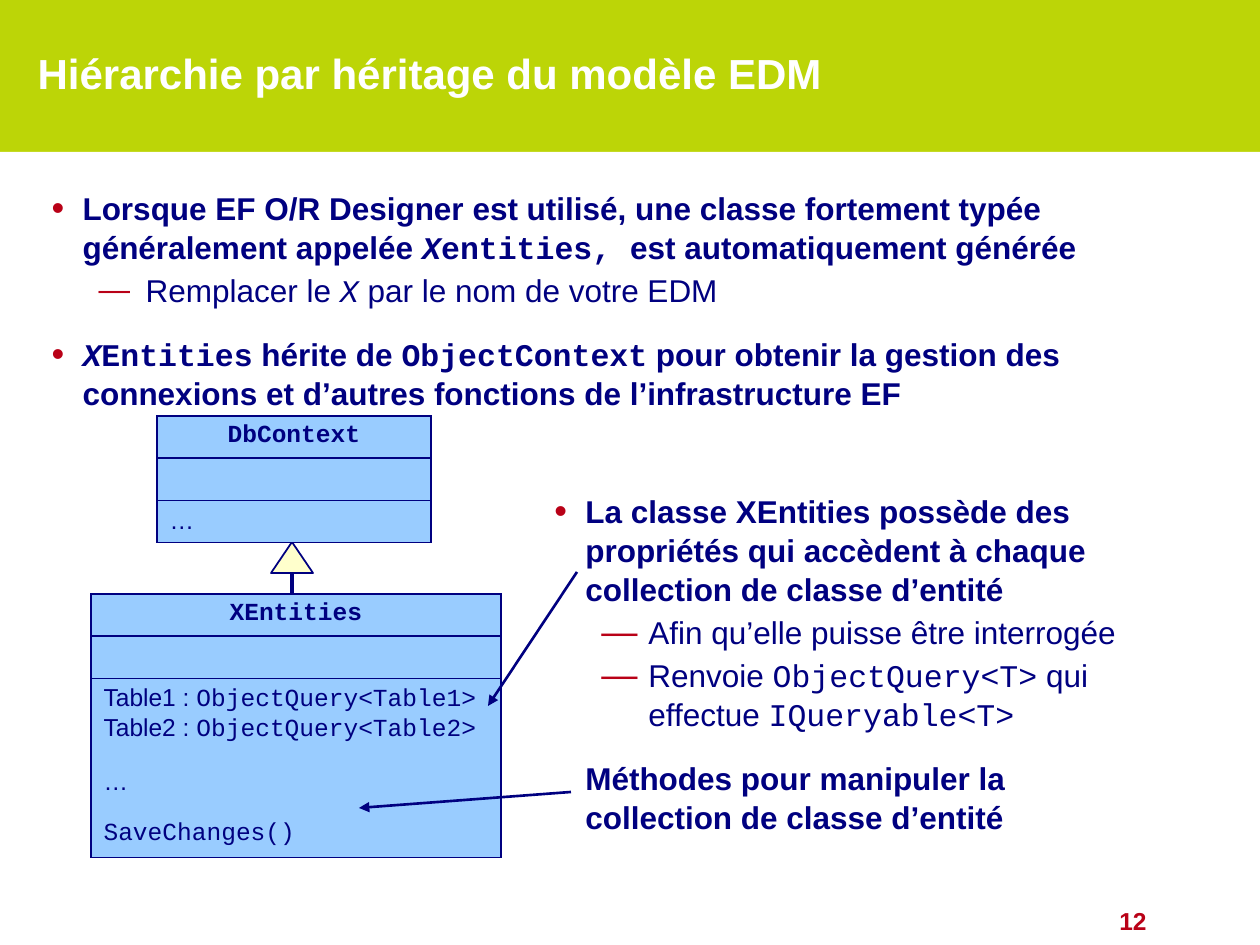
"""Build the slide on inheritance in the EDM model."""
from dataclasses import dataclass

from lxml import etree
from pptx import Presentation
from pptx import util as u
from pptx.dml.color import RGBColor
from pptx.enum import shapes, text
from pptx.oxml import ns

PIXEL = 914400 // 126
NAVY, RED, WHITE, LIME = "000080", "B90117", "FFFFFF", "BCD507"
SKY, CREAM, BLACK = "99CCFF", "FFFFCC", "000000"
SANS, MONO = "Arial", "Courier New"
CENTER, RIGHT = text.PP_ALIGN.CENTER, text.PP_ALIGN.RIGHT


@dataclass
class Span:
    text: str
    mono: bool = False
    italic: bool = False


@dataclass
class Line:
    spans: list[Span]
    level: int = 0
    bullet_size: int = 115
    bullet: bool = True


@dataclass
class ClassBox:
    name: str
    at: tuple[int, int]
    width: int
    heights: list[int]
    members: list[list[Span]]


@dataclass
class Link:
    start: tuple[int, int]
    end: tuple[int, int]
    width: float = 1.5
    arrow: bool = True


def px(*values: int) -> list[u.Emu]:
    return [u.Emu(value * PIXEL) for value in values]


def color(value: str) -> RGBColor:
    return RGBColor.from_string(value)


def add_xml(parent, tag: str, **attributes: str):
    return etree.SubElement(parent, ns.qn(tag), attributes)


def add_color(parent, value: str) -> None:
    add_xml(parent, "a:srgbClr", val=value)


def style(span, size: float, value: str, bold: bool, font: str = SANS, italic: bool = False) -> None:
    span.font.size = u.Pt(size)
    span.font.name = font
    span.font.bold = bold
    span.font.italic = italic
    span.font.color.rgb = color(value)


def write(para, spans: list[Span], size: float, bold: bool) -> None:
    for item in spans:
        span = para.add_run()
        span.text = item.text
        style(span, size, NAVY, bold, MONO if item.mono else SANS, item.italic)


def place(box, left: int, top: int, width: int, height: int) -> None:
    box.left, box.top, box.width, box.height = px(left, top, width, height)


def paragraphs(frame, count: int) -> list:
    return [frame.paragraphs[0]] + [frame.add_paragraph() for _ in range(count - 1)]


def fill_list(frame, lines: list[Line]) -> None:
    frame.word_wrap = True
    frame.auto_size = text.MSO_AUTO_SIZE.NONE
    for para, line in zip(paragraphs(frame, len(lines)), lines):
        para.level = line.level
        para.space_before = u.Pt(2 if line.level else 14)
        para.line_spacing = 1.04
        write(para, line.spans, 18, line.level == 0)
        margin, hang = px(94, 47) if line.level else px(31, 31)
        settings = para._p.get_or_add_pPr()
        settings.set("marL", str(margin))
        settings.set("indent", str(-hang if line.bullet else 0))
        if line.bullet:
            add_color(add_xml(settings, "a:buClr"), RED)
            add_xml(settings, "a:buSzPct", val=str(line.bullet_size * 1000))
            add_xml(settings, "a:buFont", typeface=SANS)
            add_xml(settings, "a:buChar", char="—" if line.level else "•")
        else:
            add_xml(settings, "a:buNone")


def draw_class(page, box: ClassBox) -> None:
    frame = page.shapes.add_table(3, 1, *px(*box.at, box.width, sum(box.heights)))
    table = frame.table
    table.first_row = table.horz_banding = False
    contents = [[[Span(box.name, mono=True)]], [], box.members]
    for index, (height, content) in enumerate(zip(box.heights, contents)):
        table.rows[index].height = px(height)[0]
        cell = table.cell(index, 0)
        borders = cell._tc.get_or_add_tcPr()
        for side in ("L", "R", "T", "B"):
            edge = add_xml(borders, f"a:ln{side}", w=str(u.Pt(1)))
            add_color(add_xml(edge, "a:solidFill"), NAVY)
        cell.fill.solid()
        cell.fill.fore_color.rgb = color(SKY)
        if not content:
            add_xml(cell.text_frame.paragraphs[0]._p, "a:endParaRPr", sz="1400")
            continue
        for para, spans in zip(paragraphs(cell.text_frame, len(content)), content):
            para.space_before = u.Pt(14)
            write(para, spans, 14, index == 0)
            if index == 0:
                para.alignment = CENTER


def draw_link(page, link: Link) -> None:
    line = page.shapes.add_connector(shapes.MSO_CONNECTOR.STRAIGHT, *px(*link.start, *link.end))
    line.line.color.rgb = color(NAVY)
    line.line.width = u.Pt(link.width)
    if link.arrow:
        add_xml(line.line._get_or_add_ln(), "a:tailEnd", type="triangle")
    add_xml(line._element.spPr, "a:effectLst")


def draw_shape(page, kind, at: tuple[int, ...], fill: str):
    shape = page.shapes.add_shape(kind, *px(*at))
    shape.shadow.inherit = False
    shape.fill.solid()
    shape.fill.fore_color.rgb = color(fill)
    shape.line.fill.background()
    return shape


INTRO = [
    Line([Span("Lorsque EF O/R Designer est utilisé, une classe fortement typée généralement appelée "),
          Span("X", True, True), Span("entities, ", True), Span("est automatiquement générée")]),
    Line([Span("Remplacer le "), Span("X", True, True), Span(" par le nom de votre EDM")], 1, 100),
    Line([Span("X", True, True), Span("Entities", True), Span(" hérite de "), Span("ObjectContext", True),
          Span(" pour obtenir la gestion des connexions et d’autres fonctions de l’infrastructure EF")]),
]
DETAILS = [
    Line([Span("La classe XEntities possède des propriétés qui accèdent à chaque collection de classe d’entité")]),
    Line([Span("Afin qu’elle puisse être interrogée")], 1),
    Line([Span("Renvoie "), Span("ObjectQuery<T>", True), Span(" qui effectue "), Span("IQueryable<T>", True)], 1),
    Line([Span("Méthodes pour manipuler la collection de classe d’entité")], bullet=False),
]
CLASSES = [
    ClassBox("DbContext", (157, 416), 274, [42, 42, 42], [[Span("…")]]),
    ClassBox("XEntities", (91, 594), 410, [42, 42, 179], [
        [Span("Table1 : "), Span("ObjectQuery<Table1>", True), Span(" Table2 : "), Span("ObjectQuery<Table2> ", True)],
        [Span("…")],
        [Span("SaveChanges()", True)],
    ]),
]
INHERITANCE = Link((292, 571), (292, 694), 2.25, False)
ARROWS = [Link((577, 572), (488, 706)), Link((571, 792), (359, 808))]

deck = Presentation()
deck.slide_width, deck.slide_height = px(1260, 945)
page = deck.slides.add_slide(deck.slide_layouts[1])
page.background.fill.solid()
page.background.fill.fore_color.rgb = color(LIME)

panel = draw_shape(page, shapes.MSO_SHAPE.RECTANGLE, (0, 152, 1260, 793), WHITE)
page.shapes._spTree.insert(2, panel._element)

title = page.shapes.title
place(title, 25, 23, 1074, 100)
title.text_frame.text = "Hiérarchie par héritage du modèle EDM"
title.text_frame.vertical_anchor = text.MSO_ANCHOR.MIDDLE
heading = title.text_frame.paragraphs[0]
heading.alignment = text.PP_ALIGN.LEFT
style(heading.runs[0], 24, WHITE, True)
effects = etree.Element(ns.qn("a:effectLst"))
add_color(add_xml(effects, "a:outerShdw", dist="38100", dir="2700000", algn="tl"), BLACK)
heading.runs[0].font.fill._xPr.find(ns.qn("a:solidFill")).addnext(effects)

body = page.placeholders[1]
place(body, 39, 181, 1147, 232)
fill_list(body.text_frame, INTRO)

draw_link(page, INHERITANCE)
triangle = draw_shape(page, shapes.MSO_SHAPE.ISOSCELES_TRIANGLE, (271, 542, 42, 31), CREAM)
triangle.line.color.rgb = color(NAVY)
triangle.line.width = u.Pt(1)
fill_list(page.shapes.add_textbox(*px(542, 484, 630, 350)).text_frame, DETAILS)
for item in CLASSES:
    draw_class(page, item)
for arrow in ARROWS:
    draw_link(page, arrow)

number = page.shapes.add_textbox(*px(960, 900, 199, 42)).text_frame
number.word_wrap = True
number.text = "12"
number.paragraphs[0].alignment = RIGHT
style(number.paragraphs[0].runs[0], 14, RED, True)

deck.save("out.pptx")
